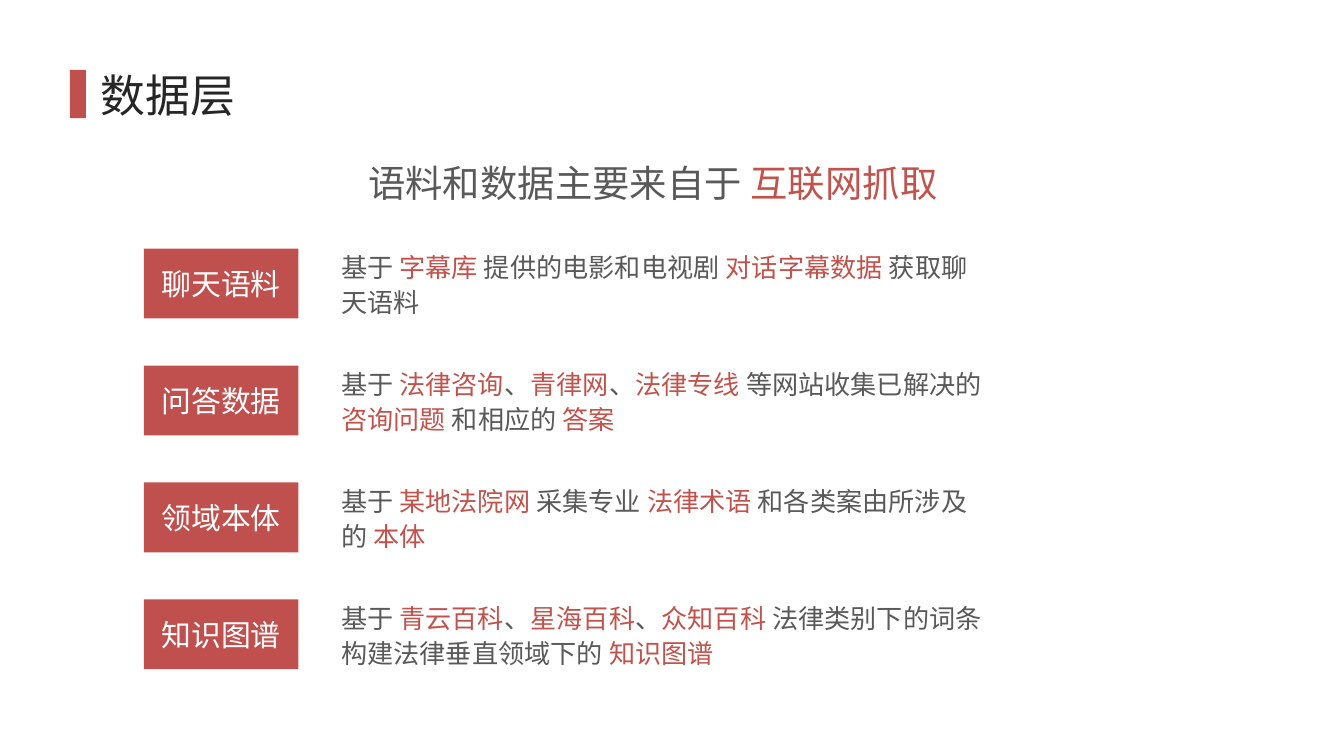
from lxml import etree
from pptx import Presentation
from pptx.dml.color import RGBColor
from pptx.enum.shapes import MSO_SHAPE
from pptx.enum.text import MSO_ANCHOR, MSO_AUTO_SIZE, PP_ALIGN
from pptx.oxml.ns import qn
from pptx.util import Inches, Pt

RECTANGLE = MSO_SHAPE.RECTANGLE
MIDDLE, TOP = MSO_ANCHOR.MIDDLE, MSO_ANCHOR.TOP
LEFT, CENTER = PP_ALIGN.LEFT, PP_ALIGN.CENTER
FIT_SHAPE, NO_FIT = MSO_AUTO_SIZE.SHAPE_TO_FIT_TEXT, MSO_AUTO_SIZE.NONE

TITLE = "数据层"
SUMMARY = ["语料和数据主要来自于 ", "互联网抓取"]
SOURCES = [
    ("聊天语料", ["基于 ", "字幕库 ", "提供的电影和电视剧 ", "对话字幕数据 ", "获取聊天语料"]),
    ("问答数据", ["基于 ", "法律咨询", "、", "青律网", "、", "法律专线 ",
              "等网站收集已解决的 ", "咨询问题 ", "和相应的 ", "答案"]),
    ("领域本体", ["基于 ", "某地法院网 ", "采集专业 ", "法律术语 ", "和各类案由所涉及的 ", "本体"]),
    ("知识图谱", ["基于 ", "青云百科", "、", "星海百科", "、", "众知百科 ",
              "法律类别下的词条构建法律垂直领域下的 ", "知识图谱"]),
]

THEME = {
    "font": "Noto Sans CJK JP",
    "title": "262626", "body": "595959", "highlight": "C1534C",
    "block": "C0504D", "on_block": "FFFFFF",
    "title_size": 24, "summary_size": 20, "label_size": 16, "body_size": 14,
}

SLIDE_WIDTH = Inches(10)
SLIDE_HEIGHT = SLIDE_WIDTH * 9 // 16
ROW_TOP, ROW_PITCH = 1.85, 0.87
LABEL_LEFT, LABEL_WIDTH, LABEL_HEIGHT = 1.07, 1.15, 0.52
DETAIL_LEFT, DETAIL_WIDTH, DETAIL_HEIGHT = 2.44, 5.01, 0.62


def write(shape, segments, size, colors, align=LEFT, anchor=TOP,
          wrap=True, fit=NO_FIT, spacing=None):
    frame = shape.text_frame
    frame.word_wrap = wrap
    frame.auto_size = fit
    frame.vertical_anchor = anchor
    paragraph = frame.paragraphs[0]
    paragraph.alignment = align
    paragraph.line_spacing = spacing
    for index, segment in enumerate(segments):
        run = paragraph.add_run()
        run.text = segment
        run.font.size = Pt(size)
        run.font.name = THEME["font"]
        run.font.color.rgb = RGBColor.from_string(colors[index % len(colors)])
        east_asian = etree.SubElement(run.font._element, qn("a:ea"))
        east_asian.set("typeface", THEME["font"])


def add_block(slide, *box):
    block = slide.shapes.add_shape(RECTANGLE, *map(Inches, box))
    block.shadow.inherit = False
    block.fill.solid()
    block.fill.fore_color.rgb = RGBColor.from_string(THEME["block"])
    block.line.fill.background()
    return block


def main():
    deck = Presentation()
    deck.slide_width, deck.slide_height = SLIDE_WIDTH, SLIDE_HEIGHT
    slide = deck.slides.add_slide(deck.slide_layouts[5])
    mixed = (THEME["body"], THEME["highlight"])

    title = slide.shapes.title
    title.left, title.top, title.width, title.height = map(Inches, (0.5, 0.23, 9, 0.94))
    title.text_frame.margin_left = Inches(0.25)
    write(title, [TITLE], THEME["title_size"], [THEME["title"]], anchor=MIDDLE)
    add_block(slide, 0.52, 0.52, 0.12, 0.36)

    summary = slide.shapes.add_textbox(*map(Inches, (2.64, 1.14, 4.51, 0.44)))
    write(summary, SUMMARY, THEME["summary_size"], mixed, wrap=False, fit=FIT_SHAPE)

    for row, (name, detail) in enumerate(SOURCES):
        top = ROW_TOP + row * ROW_PITCH
        label = add_block(slide, LABEL_LEFT, top, LABEL_WIDTH, LABEL_HEIGHT)
        write(label, [name], THEME["label_size"], [THEME["on_block"]],
              align=CENTER, anchor=MIDDLE)
        detail_top = top + (LABEL_HEIGHT - DETAIL_HEIGHT) / 2
        description = slide.shapes.add_textbox(
            *map(Inches, (DETAIL_LEFT, detail_top, DETAIL_WIDTH, DETAIL_HEIGHT)))
        write(description, detail, THEME["body_size"], mixed, fit=FIT_SHAPE, spacing=1.1)

    deck.save("out.pptx")


if __name__ == "__main__":
    main()
